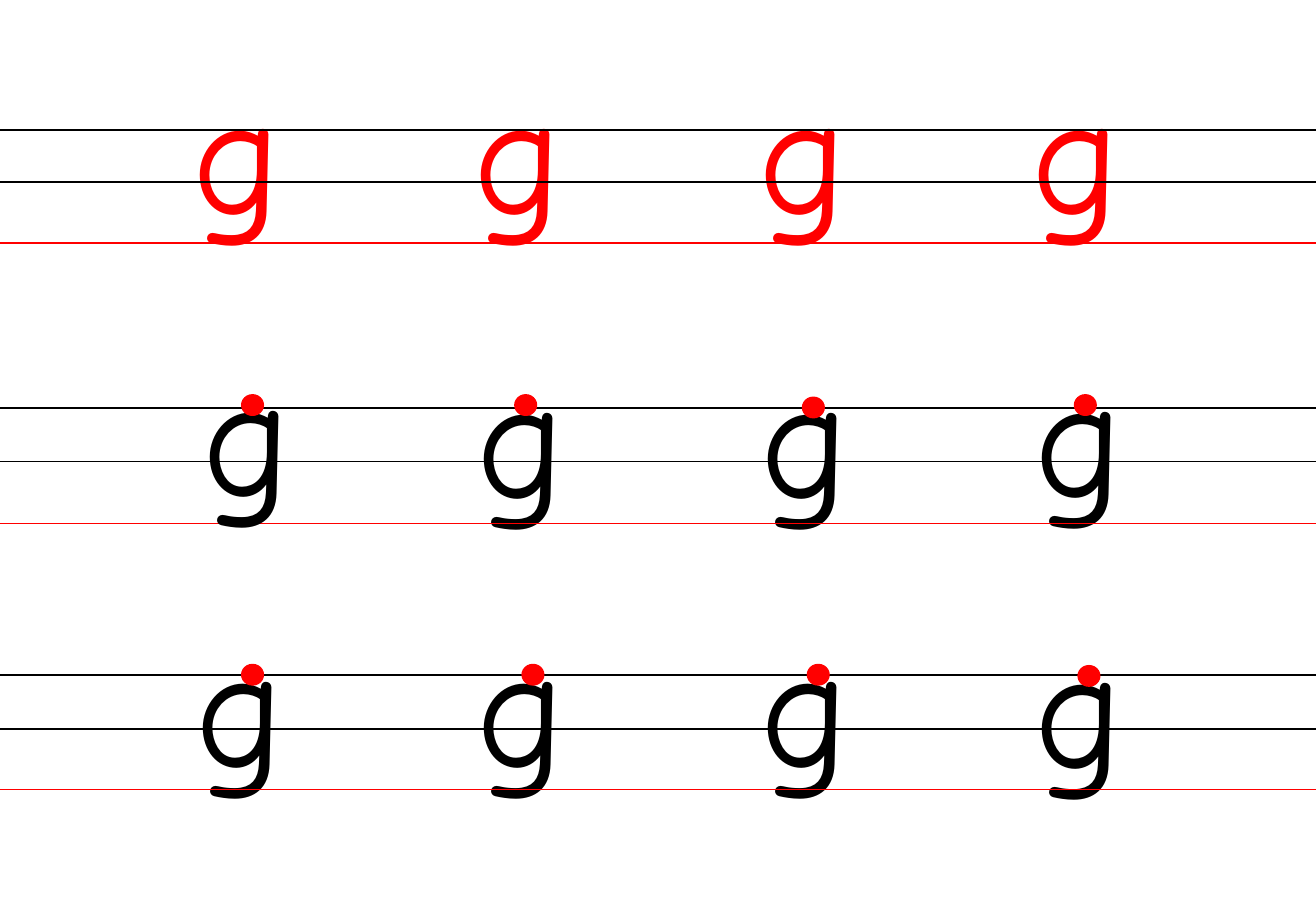
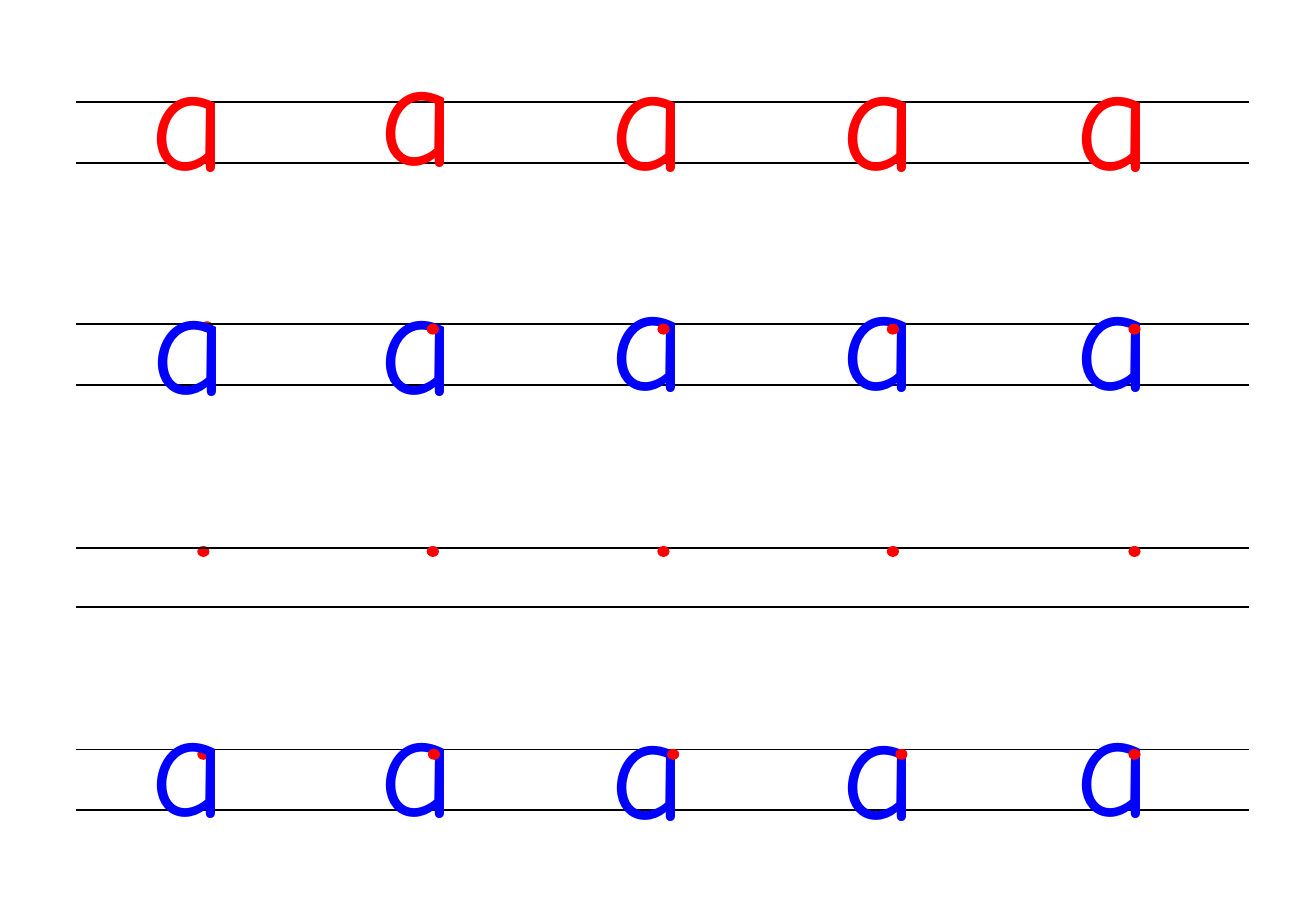
"""Build two handwriting sheets with ruled rows, model letters and start dots."""
from dataclasses import dataclass

from lxml.etree import SubElement as Sub
from pptx import Presentation
from pptx.dml.color import RGBColor as Rgb
from pptx.enum.shapes import MSO_CONNECTOR as Link, MSO_SHAPE as Form
from pptx.enum.text import MSO_AUTO_SIZE as Fit
from pptx.oxml.ns import qn
from pptx.slide import Slide
from pptx.util import Inches, Pt

WIDE, HIGH = 10.84, 7.5
FONT = "Comic Neue"
HUES = {"ink": "000000", "red": "FF0000", "blue": "0000FF"}
Nums = tuple[float, ...]


@dataclass(frozen=True)
class Marks:
    """Offsets of marks from each column and from the top rule."""
    dx: Nums = ()
    dy: Nums = ()

    def spots(self, cols: Nums, top: float) -> list[tuple[float, float]]:
        """Return the left and top of each mark."""
        return [(col + dx, top + dy) for col, dx, dy in zip(cols, self.dx, self.dy)]


@dataclass(frozen=True)
class Row:
    """One ruled row; over letters lie above its rules, under dots below."""
    top: float
    gaps: Nums
    hue: str
    glyphs: Marks = Marks()
    dots: Marks = Marks()
    over: int = 0
    under: int = 0


@dataclass(frozen=True)
class Sheet:
    """One practice sheet with its letter, grid and rule hues."""
    glyph: str
    size: int
    box: tuple[float, float]
    dot: tuple[float, float]
    edge: tuple[float, float]
    cols: Nums
    rules: tuple[str, ...]
    rows: tuple[Row, ...]


SHEETS = (
    Sheet("g", 100, (0.93, 1.77), (0.18, 0.17), (0, WIDE),
          (1.5, 3.83, 6.17, 8.42), ("ink", "ink", "red"), (
              Row(1.07, (0, 0.43, 0.93), "red",
                  Marks((-0.01, -0.03, -0.02, -0.02), (-0.74,) * 4)),
              Row(3.36, (0, 0.44, 0.95), "ink",
                  Marks((0.07, 0, 0, 0), (-0.71, -0.69, -0.69, -0.7)),
                  Marks((0.49, 0.41, 0.44, 0.43), (-0.11, -0.11, -0.09, -0.11)),
                  over=1),
              Row(5.56, (0, 0.44, 0.94), "ink",
                  Marks((0.01, 0, 0, 0), (-0.68, -0.68, -0.68, -0.67)),
                  Marks((0.49, 0.47, 0.48, 0.46), (-0.09, -0.09, -0.09, -0.08))),
          )),
    Sheet("a", 88, (0.83, 1.57), (0.09, 0.08), (0.63, 10.29),
          (1.14, 3.03, 4.93, 6.83, 8.76), ("ink", "ink"), (
              Row(0.84, (0, 0.5), "red",
                  Marks((0,) * 5, (-0.71, -0.75, -0.71, -0.71, -0.71)), over=5),
              Row(2.67, (0, 0.5), "blue",
                  Marks((0.01, 0, 0, 0, 0), (-0.69, -0.69, -0.73, -0.73, -0.73)),
                  Marks((0.52, 0.49, 0.49, 0.48, 0.54), (-0.02, 0, 0, 0, 0)),
                  over=5, under=1),
              Row(4.51, (0, 0.49), "blue",
                  dots=Marks((0.49, 0.49, 0.49, 0.48, 0.54), (-0.01,) * 5),
                  under=1),
              Row(6.17, (0, 0.5), "blue",
                  Marks((0,) * 5, (-0.72, -0.72, -0.69, -0.69, -0.72)),
                  Marks((0.49, 0.5, 0.57, 0.55, 0.54), (0,) * 5),
                  over=5, under=1),
          )),
)


def tint(name: str) -> Rgb:
    """Look up a named colour."""
    return Rgb.from_string(HUES[name])


def write(page: Slide, text: str, *, at: tuple[float, float],
          box: tuple[float, float], size: int, hue: str) -> None:
    """Place text with its format."""
    frame = page.shapes.add_textbox(*map(Inches, at + box)).text_frame
    frame.word_wrap = False
    frame.auto_size = Fit.SHAPE_TO_FIT_TEXT
    run = frame.paragraphs[0].add_run()
    run.text = text
    run.font.name, run.font.size = FONT, Pt(size)
    run.font.color.rgb = tint(hue)


def rule(page: Slide, edge: tuple[float, float], y: float, hue: str) -> None:
    """Draw one level rule."""
    left, right = edge
    line = page.shapes.add_connector(
        Link.STRAIGHT, *map(Inches, (left, y, right, y)))
    line.line.width = Pt(1)
    line.line.color.rgb = tint(hue)
    Sub(line._element.spPr, qn("a:effectLst"))


def spot(page: Slide, at: tuple[float, float], size: tuple[float, float]) -> None:
    """Draw one start dot."""
    dot = page.shapes.add_shape(Form.OVAL, *map(Inches, at + size))
    dot.shadow.inherit = False
    dot.fill.solid()
    dot.fill.fore_color.rgb = dot.line.color.rgb = tint("red")
    dot.line.width = Pt(0.75)


def draw(page: Slide, sheet: Sheet, row: Row) -> None:
    """Draw a row from back to front."""
    glyphs = row.glyphs.spots(sheet.cols, row.top)
    dots = row.dots.spots(sheet.cols, row.top)

    def spell(spots: list[tuple[float, float]]) -> None:
        """Write the letter at each spot."""
        for at in spots:
            write(page, sheet.glyph, at=at, box=sheet.box,
                  size=sheet.size, hue=row.hue)

    for at in dots[:row.under]:
        spot(page, at, sheet.dot)
    spell(glyphs[row.over:])
    for gap, hue in zip(row.gaps, sheet.rules):
        rule(page, sheet.edge, row.top + gap, hue)
    spell(glyphs[:row.over])
    for at in dots[row.under:]:
        spot(page, at, sheet.dot)


def main() -> None:
    """Build and save the deck."""
    deck = Presentation()
    deck.slide_width, deck.slide_height = Inches(WIDE), Inches(HIGH)
    blank = deck.slide_layouts[6]
    for sheet in SHEETS:
        page = deck.slides.add_slide(blank)
        for row in sheet.rows:
            draw(page, sheet, row)
    deck.save("out.pptx")


if __name__ == "__main__":
    main()
